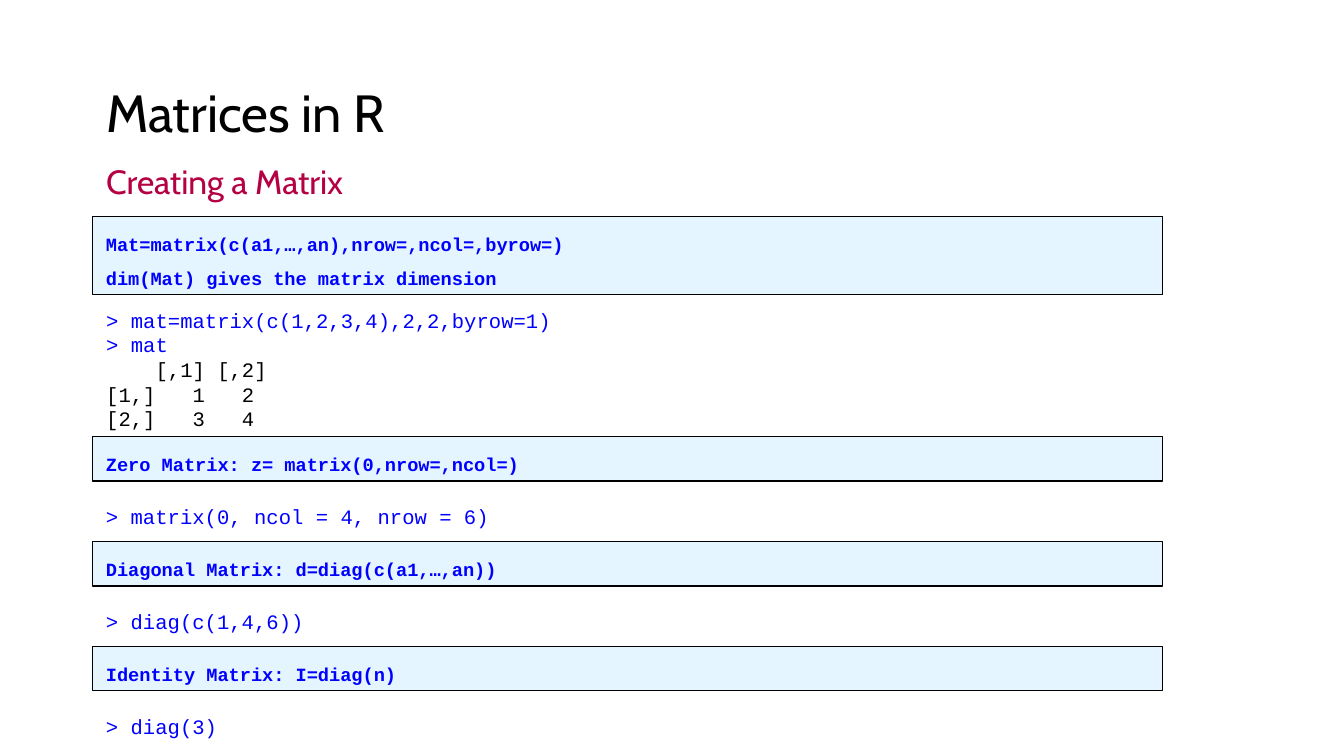
from dataclasses import dataclass

from lxml import etree
from pptx import Presentation
from pptx.dml.color import RGBColor as RGB
from pptx.enum.shapes import MSO_SHAPE as SHAPE
from pptx.enum.text import MSO_ANCHOR as ANCHOR, MSO_AUTO_SIZE as FIT, PP_ALIGN as ALIGN
from pptx.oxml.ns import qn
from pptx.util import Inches, Pt


@dataclass(frozen=True)
class Theme:
    head_font: str = "Cabin"
    code_font: str = "Courier New"
    black: str = "000000"
    accent: str = "B50043"
    code: str = "0000FF"
    panel: str = "E5F5FF"
    title_size: int = 28
    subtitle_size: int = 18
    code_size: int = 11
    syntax_size: int = 10
    border: float = 0.75


def write(tf, lines, *, font, size, color, bold=False, spacing=1.0, before=0,
          anchor=ANCHOR.TOP, fit=FIT.NONE):
    tf.word_wrap = True
    tf.auto_size = fit
    tf.vertical_anchor = anchor
    for i, line in enumerate(lines):
        text, shade = line if isinstance(line, tuple) else (line, color)
        p = tf.paragraphs[0] if i == 0 else tf.add_paragraph()
        p.alignment = ALIGN.LEFT
        p.line_spacing = spacing
        p.space_before = Pt(before)
        r = p.add_run()
        r.text = text
        r.font.name = font
        r.font.size = Pt(size)
        r.font.bold = bold
        r.font.color.rgb = RGB.from_string(shade)


class Deck:
    left = 0.69
    panel_width = 7.96

    def __init__(self, prs, theme):
        self.theme = theme
        self.s = prs.slides.add_slide(prs.slide_layouts[3])

    def place(self, idx, top, width, height):
        sp = self.s.placeholders[idx]
        sp.left, sp.top = Inches(self.left), Inches(top)
        sp.width, sp.height = Inches(width), Inches(height)
        return sp.text_frame

    def title(self, text, top, width, height):
        t = self.theme
        write(self.place(0, top, width, height), [text], font=t.head_font,
              size=t.title_size, color=t.black, spacing=0.9, anchor=ANCHOR.BOTTOM)

    def body(self, idx, lines, top, width, height, **style):
        tf = self.place(idx, top, width, height)
        write(tf, lines, **style)
        for p in tf.paragraphs:
            pPr = p._p.get_or_add_pPr()
            pPr.set("marL", "0")
            pPr.set("indent", "0")
            etree.SubElement(pPr, qn("a:buNone"))

    def subtitle(self, text, top, width, height):
        t = self.theme
        self.body(1, [text], top, width, height, font=t.head_font,
                  size=t.subtitle_size, color=t.accent, spacing=0.9, before=7.5)

    def session(self, lines, top, width, height):
        t = self.theme
        self.body(2, lines, top, width, height, font=t.code_font,
                  size=t.code_size, color=t.code)

    def syntax(self, lines, top, height):
        t = self.theme
        sp = self.s.shapes.add_shape(SHAPE.RECTANGLE, Inches(self.left), Inches(top),
                                     Inches(self.panel_width), Inches(height))
        sp.shadow.inherit = False
        sp.fill.solid()
        sp.fill.fore_color.rgb = RGB.from_string(t.panel)
        sp.line.color.rgb = RGB.from_string(t.black)
        sp.line.width = Pt(t.border)
        write(sp.text_frame, lines, font=t.code_font, size=t.syntax_size, color=t.code,
              bold=True, spacing=1.5, anchor=ANCHOR.MIDDLE, fit=FIT.SHAPE_TO_FIT_TEXT)

    def command(self, text, top):
        t = self.theme
        sp = self.s.shapes.add_textbox(Inches(self.left), Inches(top), Inches(5), Inches(0.29))
        write(sp.text_frame, [text], font=t.code_font, size=t.code_size, color=t.code,
              fit=FIT.SHAPE_TO_FIT_TEXT)


def main():
    prs = Presentation()
    prs.slide_width, prs.slide_height = Inches(10), Inches(10 * 9 / 16)
    theme = Theme()
    deck = Deck(prs, theme)

    deck.title("Matrices in R", 0.3, 8.62, 0.82)
    deck.subtitle("Creating a Matrix", 1.18, 4.4, 0.44)
    output = ["    [,1] [,2]", "[1,]   1   2", "[2,]   3   4"]
    deck.session(["> mat=matrix(c(1,2,3,4),2,2,byrow=1)", "> mat"]
                 + [(line, theme.black) for line in output], 2.24, 8.62, 1.08)
    deck.syntax(["Mat=matrix(c(a1,…,an),nrow=,ncol=,byrow=)",
                 "dim(Mat) gives the matrix dimension"], 1.61, 0.58)

    examples = [
        ("Zero Matrix: z= matrix(0,nrow=,ncol=)", "> matrix(0, ncol = 4, nrow = 6)"),
        ("Diagonal Matrix: d=diag(c(a1,…,an))", "> diag(c(1,4,6))"),
        ("Identity Matrix: I=diag(n)", "> diag(3)"),
    ]
    for i, (rule, call) in enumerate(examples):
        top = 3.25 + 0.78 * i
        deck.syntax([rule], top, 0.33)
        deck.command(call, top + 0.45)

    prs.save("out.pptx")


if __name__ == "__main__":
    main()
